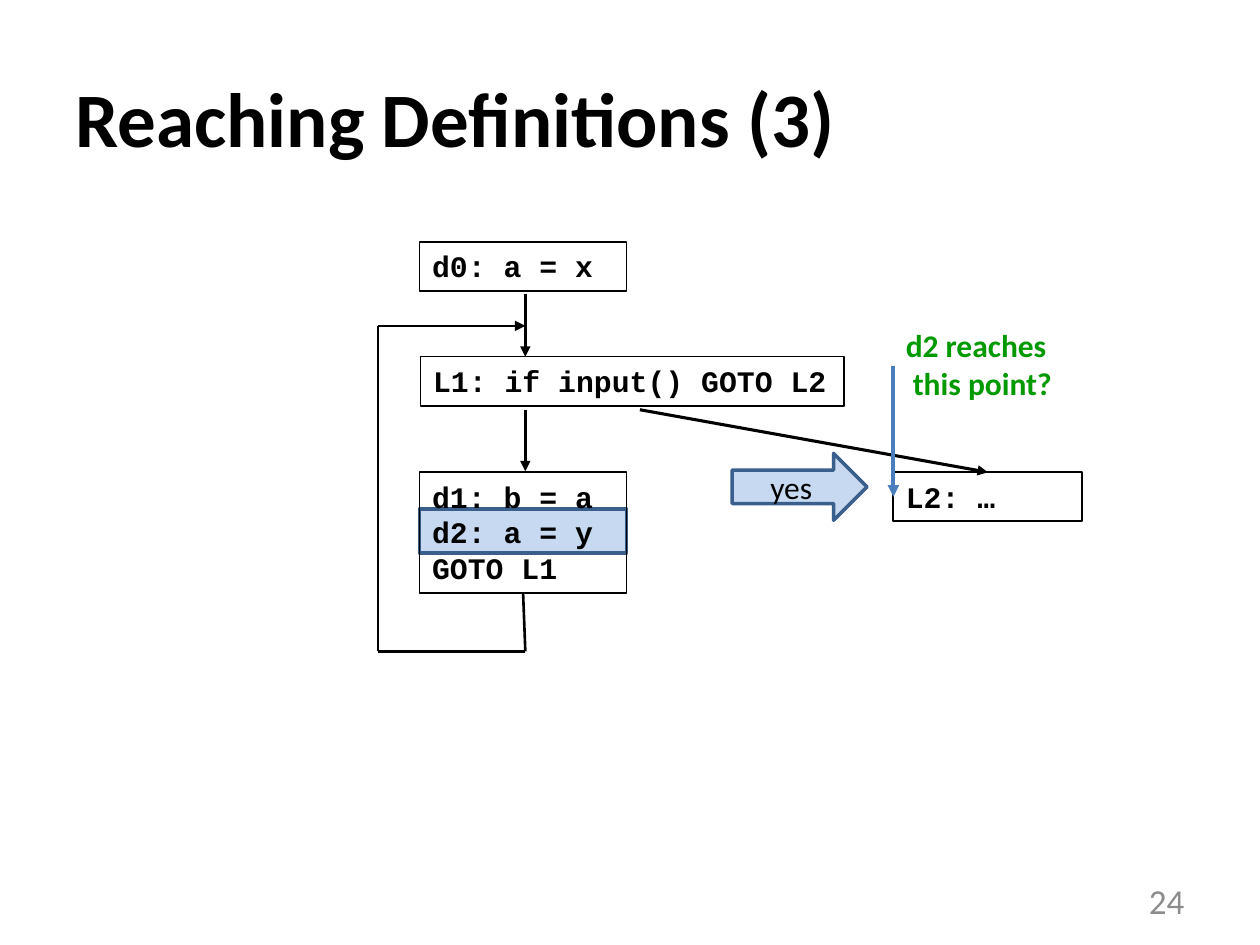
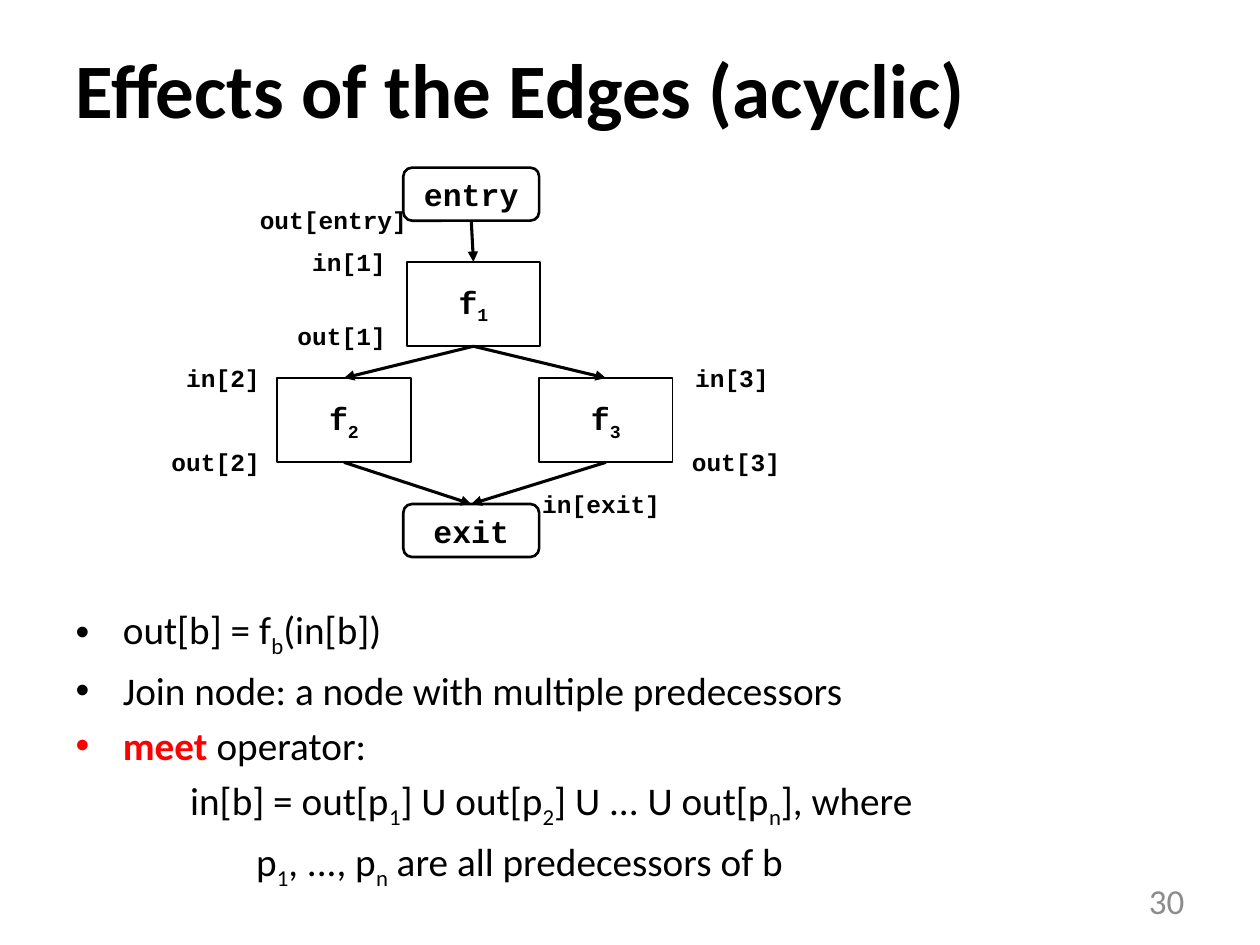
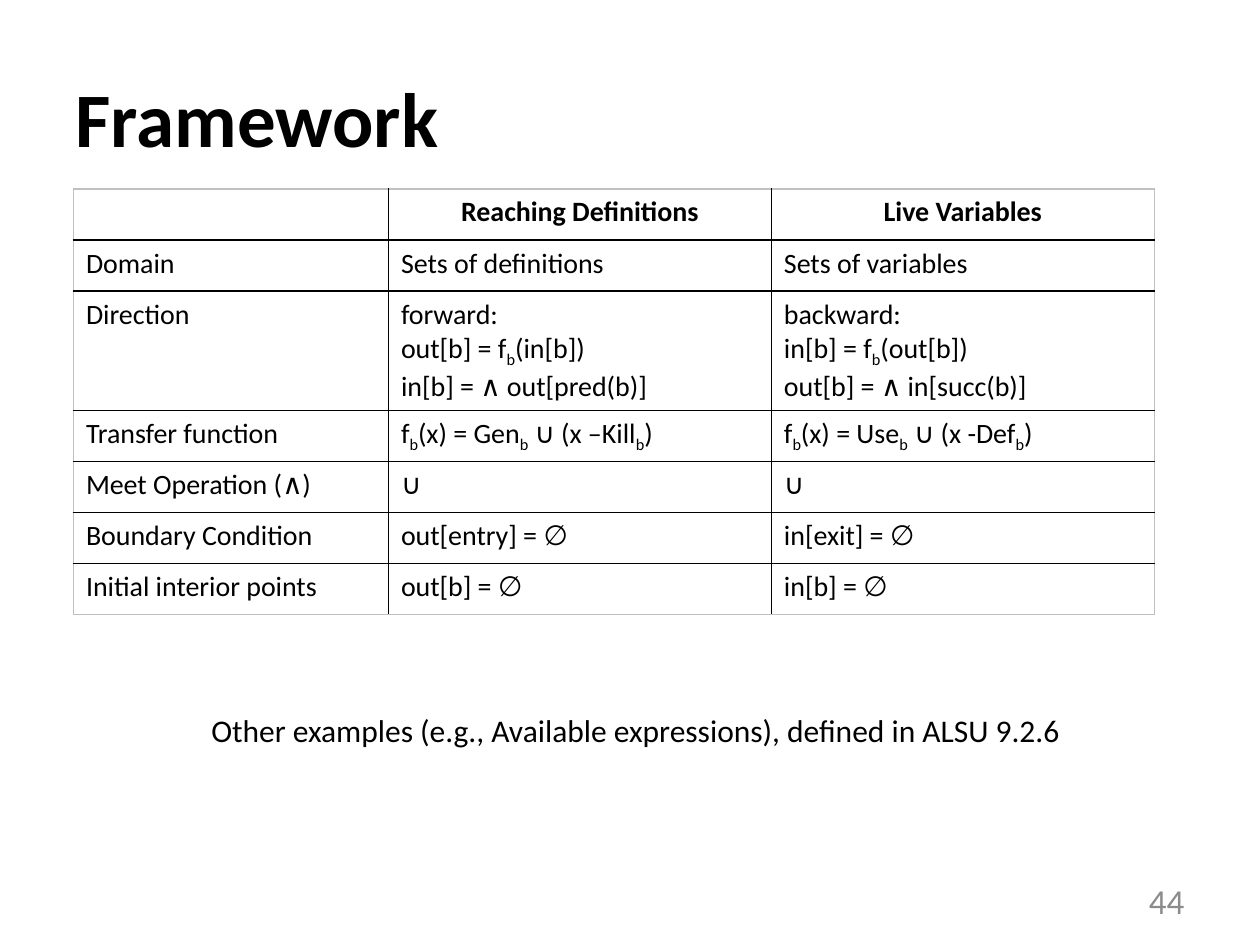
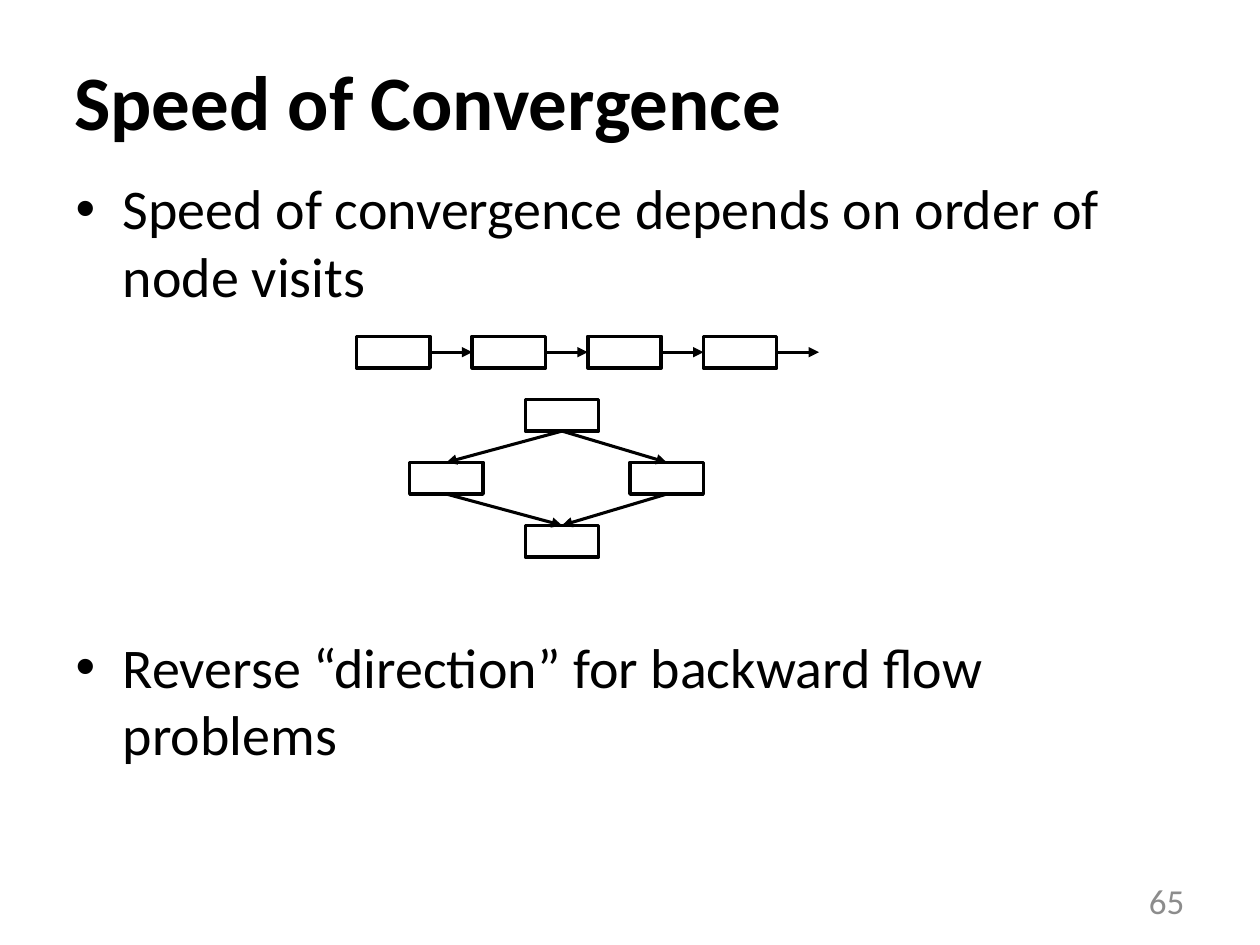
from dataclasses import dataclass
from itertools import pairwise

from lxml import etree
from pptx import Presentation
from pptx.dml.color import RGBColor
from pptx.enum.shapes import MSO_CONNECTOR, MSO_SHAPE
from pptx.enum.text import MSO_ANCHOR, MSO_AUTO_SIZE, PP_ALIGN
from pptx.oxml import parse_xml
from pptx.oxml.ns import nsdecls, qn
from pptx.shapes.autoshape import Shape
from pptx.util import Cm, Pt

RECT, ROUNDED, RIGHT_ARROW = MSO_SHAPE.RECTANGLE, MSO_SHAPE.ROUNDED_RECTANGLE, MSO_SHAPE.RIGHT_ARROW
STRAIGHT = MSO_CONNECTOR.STRAIGHT
LEFT, CENTER, RIGHT = PP_ALIGN.LEFT, PP_ALIGN.CENTER, PP_ALIGN.RIGHT
TOP, MIDDLE = MSO_ANCHOR.TOP, MSO_ANCHOR.MIDDLE
NO_AUTOFIT = MSO_AUTO_SIZE.NONE
TOP_SIDE, LEFT_SIDE, BOTTOM_SIDE, RIGHT_SIDE = range(4)


@dataclass(frozen=True)
class Theme:
    text_font: str = "Calibri"
    code_font: str = "Courier New"
    ink: RGBColor = RGBColor(0x00, 0x00, 0x00)
    muted: RGBColor = RGBColor(0x8C, 0x8C, 0x8C)
    question: RGBColor = RGBColor(0x00, 0x99, 0x00)
    emphasis: RGBColor = RGBColor(0xFF, 0x00, 0x00)
    highlight: RGBColor = RGBColor(0xC6, 0xD9, 0xF1)
    highlight_edge: RGBColor = RGBColor(0x3A, 0x5F, 0x8C)
    pointer: RGBColor = RGBColor(0x4B, 0x7E, 0xBC)
    table_edge: RGBColor = RGBColor(0xC0, 0xC0, 0xC0)
    title_size: float = 44
    bullet_size: float = 32
    formula_size: float = 22.4
    page_size: float = 20
    note_size: float = 18
    code_size: float = 17
    cell_size: float = 16
    label_size: float = 14


THEME = Theme()


def write_text(frame, lines, size, font=THEME.text_font, bold=False, color=THEME.ink,
               align=LEFT, anchor=TOP, wrap=True):
    """Write one paragraph per line; text between two underscores becomes a subscript."""
    frame.word_wrap = wrap
    frame.auto_size = NO_AUTOFIT
    frame.vertical_anchor = anchor
    for line_number, line in enumerate(lines):
        paragraph = frame.add_paragraph() if line_number else frame.paragraphs[0]
        paragraph.alignment = align
        for part_number, part in enumerate(line.split("_")):
            if not part:
                continue
            run = paragraph.add_run()
            run.text = part
            run.font.size = Pt(size)
            run.font.name = font
            run.font.bold = bold
            run.font.color.rgb = color
            if part_number % 2:
                run.font._element.set("baseline", "-25000")


def add_box(slide, kind, left, top, width, height, line_width, fill=None, edge=THEME.ink):
    box = slide.shapes.add_shape(kind, Cm(left), Cm(top), Cm(width), Cm(height))
    box.shadow.inherit = False
    box.line.width = Pt(line_width)
    box.line.color.rgb = edge
    if fill is None:
        box.fill.background()
    else:
        box.fill.solid()
        box.fill.fore_color.rgb = fill
    return box


deck = Presentation()
deck.slide_width, deck.slide_height = Cm(25.4), Cm(19.05)
TITLE_AND_CONTENT, TITLE_ONLY = deck.slide_layouts[1], deck.slide_layouts[5]

# Titles and page numbers
slides = []
for layout, title, page, title_left, title_top in [
    (TITLE_ONLY, "Reaching Definitions (3)", "24", 1.27, 0.76),
    (TITLE_AND_CONTENT, "Effects of the Edges (acyclic)", "30", 1.27, 0.18),
    (TITLE_ONLY, "Framework", "44", 1.27, 0.76),
    (TITLE_AND_CONTENT, "Speed of Convergence", "65", 1.24, 0.41),
]:
    slide = deck.slides.add_slide(layout)
    heading = slide.shapes.title
    heading.left, heading.top = Cm(title_left), Cm(title_top)
    heading.width, heading.height = Cm(22.86), Cm(3.18)
    write_text(heading.text_frame, [title], THEME.title_size, bold=True, anchor=MIDDLE)
    page_number = slide.shapes.add_textbox(Cm(18.2), Cm(17.65), Cm(5.93), Cm(1.02))
    write_text(page_number.text_frame, [page], THEME.page_size, color=THEME.muted,
               align=RIGHT, anchor=MIDDLE)
    slides.append(slide)
reaching, effects, framework, convergence = slides

# Each edge: slide, start, end, line width, colour, arrowhead.
# An end is a point in cm or a (box, side) pair.
edges = []

# Reaching Definitions
add_box(reaching, RECT, 8.46, 10.26, 4.17, 0.89, 2, THEME.highlight, THEME.highlight_edge)
blocks = []
for left, top, width, height, code in [
    (8.46, 4.88, 4.17, 0.99, ["d0: a = x"]),
    (8.48, 7.19, 8.53, 0.99, ["L1: if input() GOTO L2"]),
    (8.46, 9.52, 4.17, 2.44, ["d1: b = a", "d2: a = y", "GOTO L1"]),
    (18.01, 9.52, 3.81, 0.99, ["L2: …"]),
]:
    block = add_box(reaching, RECT, left, top, width, height, 1)
    write_text(block.text_frame, code, THEME.code_size, THEME.code_font, bold=True)
    blocks.append(block)
loop_body, loop_exit = blocks[2:]

question = reaching.shapes.add_textbox(Cm(18.01), Cm(6.45), Cm(3.48), Cm(1.8))
write_text(question.text_frame, ["d2 reaches", " this point?"], THEME.note_size, bold=True,
           color=THEME.question)
answer = add_box(reaching, RIGHT_ARROW, 14.76, 9.14, 2.72, 1.35, 2,
                 THEME.highlight, THEME.highlight_edge)
write_text(answer.text_frame, ["yes"], THEME.note_size, align=CENTER, anchor=MIDDLE, wrap=False)

edges += [
    (reaching, (10.59, 5.92), (10.59, 7.19), 1.75, THEME.ink, True),
    (reaching, (10.59, 8.26), (10.59, 9.5), 1.75, THEME.ink, True),
    (reaching, (12.9, 8.26), (loop_exit, TOP_SIDE), 1.75, THEME.ink, True),
    (reaching, (18.01, 7.37), (loop_exit, LEFT_SIDE), 2.25, THEME.pointer, True),
]
back_edge = [(loop_body, BOTTOM_SIDE), (10.59, 13.13), (7.62, 13.13), (7.62, 6.57), (10.59, 6.57)]
for start, end in pairwise(back_edge):
    edges.append((reaching, start, end, 1.5, THEME.ink, end == back_edge[-1]))

# Effects of the Edges
flow = {}
for name, kind, left, top, width, height, line_width in [
    ("entry", ROUNDED, 8.13, 3.38, 2.74, 1.07, 1.5),
    ("f_1_", RECT, 8.2, 5.28, 2.69, 1.7, 1),
    ("f_2_", RECT, 5.59, 7.62, 2.69, 1.7, 1),
    ("f_3_", RECT, 10.87, 7.62, 2.69, 1.7, 1),
    ("exit", ROUNDED, 8.13, 10.16, 2.74, 1.07, 1.5),
]:
    flow[name] = add_box(effects, kind, left, top, width, height, line_width)
    write_text(flow[name].text_frame, [name], THEME.note_size, THEME.code_font, bold=True,
               align=CENTER, anchor=MIDDLE, wrap=False)
for source, target in [("entry", "f_1_"), ("f_1_", "f_2_"), ("f_1_", "f_3_"),
                       ("f_2_", "exit"), ("f_3_", "exit")]:
    edges.append((effects, (flow[source], BOTTOM_SIDE), (flow[target], TOP_SIDE),
                  1.75, THEME.ink, True))

for state, right, top in [
    ("out[entry]", 8.46, 4.01), ("in[1]", 8.03, 4.85), ("out[1]", 8.03, 6.35),
    ("in[2]", 5.49, 7.19), ("out[2]", 5.49, 8.89),
    ("in[3]", 15.75, 7.19), ("out[3]", 15.98, 8.89), ("in[exit]", 13.56, 9.73),
]:
    width = 0.51 + 0.3 * len(state)
    label = effects.shapes.add_textbox(Cm(right - width), Cm(top), Cm(width), Cm(0.86))
    write_text(label.text_frame, [state], THEME.label_size, THEME.code_font, bold=True,
               align=RIGHT, wrap=False)

rules = effects.placeholders[1]
rules.left, rules.top, rules.width, rules.height = Cm(1.27), Cm(12.07), Cm(22.86), Cm(4.88)
write_text(rules.text_frame, [
    "out[b] = f_b_(in[b])",
    "Join node: a node with multiple predecessors",
    "meet",
    "in[b] = out[p_1_] U out[p_2_] U ... U out[p_n_], where",
    "p_1_, ..., p_n_ are all predecessors of b",
], THEME.formula_size)
meet_rule, *formulas = rules.text_frame.paragraphs[2:]
meet_rule.runs[0].font.bold = True
meet_rule.runs[0].font.color.rgb = THEME.emphasis
operator = meet_rule.add_run()
operator.text = " operator:"
operator.font.size = Pt(THEME.formula_size)
operator.font.name = THEME.text_font
operator.font.color.rgb = THEME.ink
for formula, indent in zip(formulas, (2.31, 3.64)):
    properties = formula._p.get_or_add_pPr()
    properties.set("marL", str(Cm(indent)))
    properties.set("indent", "0")
    etree.SubElement(properties, qn("a:buNone"))

# Framework
rows = [
    ([""], ["Reaching Definitions"], ["Live Variables"]),
    (["Domain"], ["Sets of definitions"], ["Sets of variables"]),
    (["Direction"],
     ["forward:", "out[b] = f_b_(in[b])", "in[b] = ∧ out[pred(b)]"],
     ["backward:", "in[b] = f_b_(out[b])", "out[b] = ∧ in[succ(b)]"]),
    (["Transfer function"], ["f_b_(x) = Gen_b_ ∪ (x –Kill_b_)"], ["f_b_(x) = Use_b_ ∪ (x -Def_b_)"]),
    (["Meet Operation (∧)"], ["∪"], ["∪"]),
    (["Boundary Condition"], ["out[entry] = ∅"], ["in[exit] = ∅"]),
    (["Initial interior points"], ["out[b] = ∅"], ["in[b] = ∅"]),
]
comparison = framework.shapes.add_table(len(rows), 3, Cm(1.48), Cm(3.81), Cm(21.79), Cm(8.58)).table
comparison.first_row = comparison.horz_banding = False
for column, width in zip(comparison.columns, (6.35, 7.72, 7.72)):
    column.width = Cm(width)
for row_number, row in enumerate(rows):
    comparison.rows[row_number].height = Cm(2.4 if row_number == 2 else 1.03)
    for column_number, lines in enumerate(row):
        cell = comparison.cell(row_number, column_number)
        is_header = row_number == 0
        write_text(cell.text_frame, lines, THEME.cell_size, bold=is_header,
                   align=CENTER if is_header else LEFT)
        for side, is_outer in [("L", column_number == 0), ("R", column_number == 2),
                               ("T", is_header), ("B", row_number == len(rows) - 1)]:
            color = THEME.table_edge if is_outer else THEME.ink
            cell._tc.get_or_add_tcPr().append(parse_xml(
                f'<a:ln{side} {nsdecls("a")} w="{Pt(1)}"><a:solidFill>'
                f'<a:srgbClr val="{color}"/></a:solidFill></a:ln{side}>'))
        cell.fill.background()

reference = framework.shapes.add_textbox(Cm(4.01), Cm(14.2), Cm(17.68), Cm(1.02))
write_text(reference.text_frame,
           ["Other examples (e.g., Available expressions), defined in ALSU 9.2.6"],
           THEME.note_size, wrap=False)

# Speed of Convergence
points = convergence.placeholders[1]
points.left, points.top, points.width, points.height = Cm(1.27), Cm(3.38), Cm(22.86), Cm(13.64)
write_text(points.text_frame, [
    "Speed of convergence depends on order of node visits",
    "Reverse “direction” for backward flow problems",
], THEME.bullet_size)
points.text_frame.paragraphs[1].space_before = Pt(185)

chain = [(7.19 + 2.33 * step, 6.78) for step in range(4)]
diamond = [(10.59, 8.05), (8.26, 9.32), (12.7, 9.32), (10.59, 10.59)]
nodes = [add_box(convergence, RECT, left, top, 1.48, 0.64, 2) for left, top in chain + diamond]
links = [((before, RIGHT_SIDE), (after, LEFT_SIDE)) for before, after in pairwise(nodes[:4])]
links.append(((nodes[3], RIGHT_SIDE), (16.51, 7.1)))
top_node, left_node, right_node, bottom_node = nodes[4:]
for branch in (left_node, right_node):
    links.append(((top_node, BOTTOM_SIDE), (branch, TOP_SIDE)))
    links.append(((branch, BOTTOM_SIDE), (bottom_node, TOP_SIDE)))
edges += [(convergence, start, end, 1.75, THEME.ink, True) for start, end in links]

# Edges of all flow graphs
for slide, start, end, line_width, color, has_arrowhead in edges:
    edge = slide.shapes.add_connector(STRAIGHT, 0, 0, 0, 0)
    if isinstance(start[0], Shape):
        edge.begin_connect(*start)
    else:
        edge.begin_x, edge.begin_y = Cm(start[0]), Cm(start[1])
    if isinstance(end[0], Shape):
        edge.end_connect(*end)
    else:
        edge.end_x, edge.end_y = Cm(end[0]), Cm(end[1])
    edge.line.width = Pt(line_width)
    edge.line.color.rgb = color
    if has_arrowhead:
        etree.SubElement(edge.line._get_or_add_ln(), qn("a:tailEnd"), type="triangle")
    etree.SubElement(edge._element.spPr, qn("a:effectLst"))

deck.save("out.pptx")
